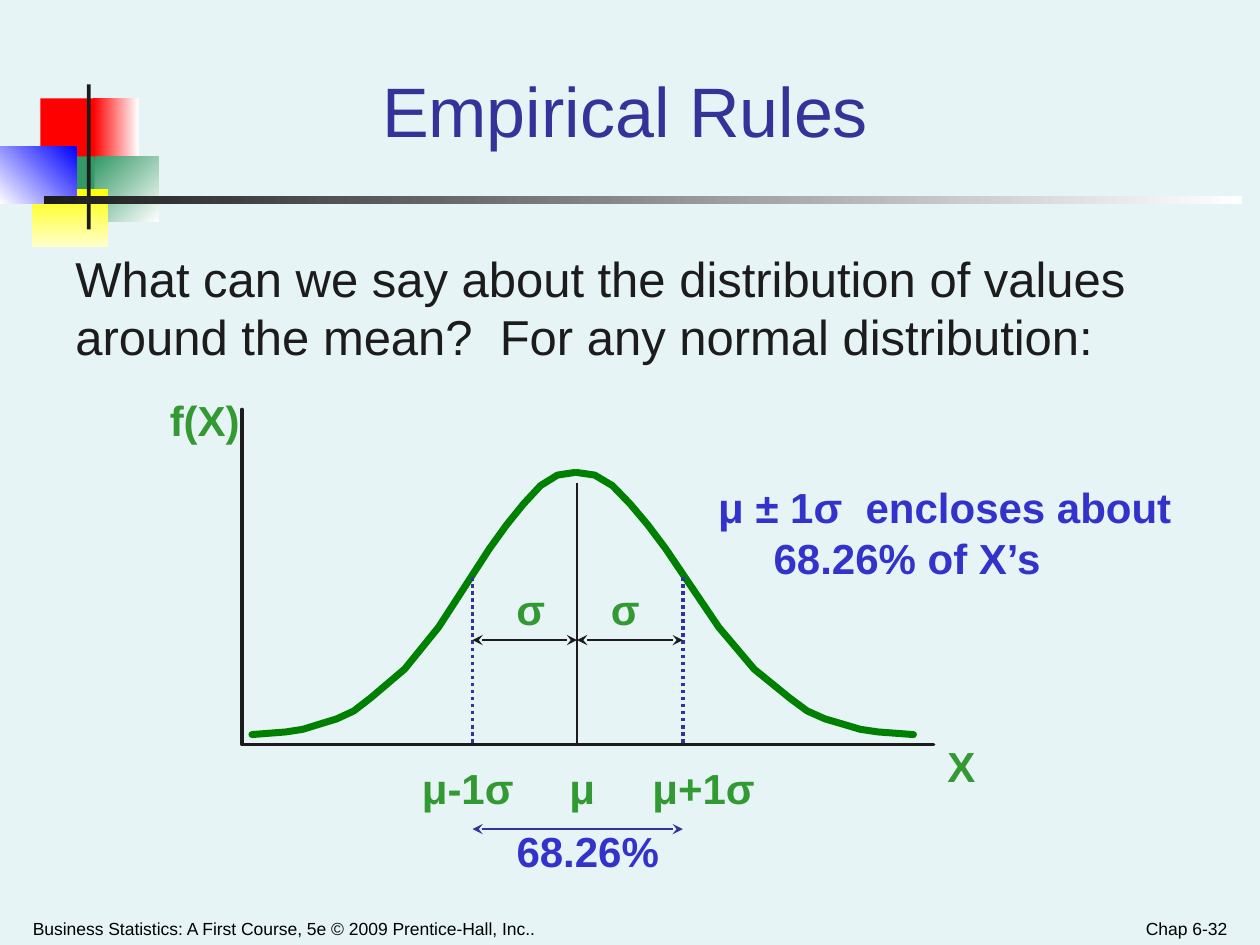
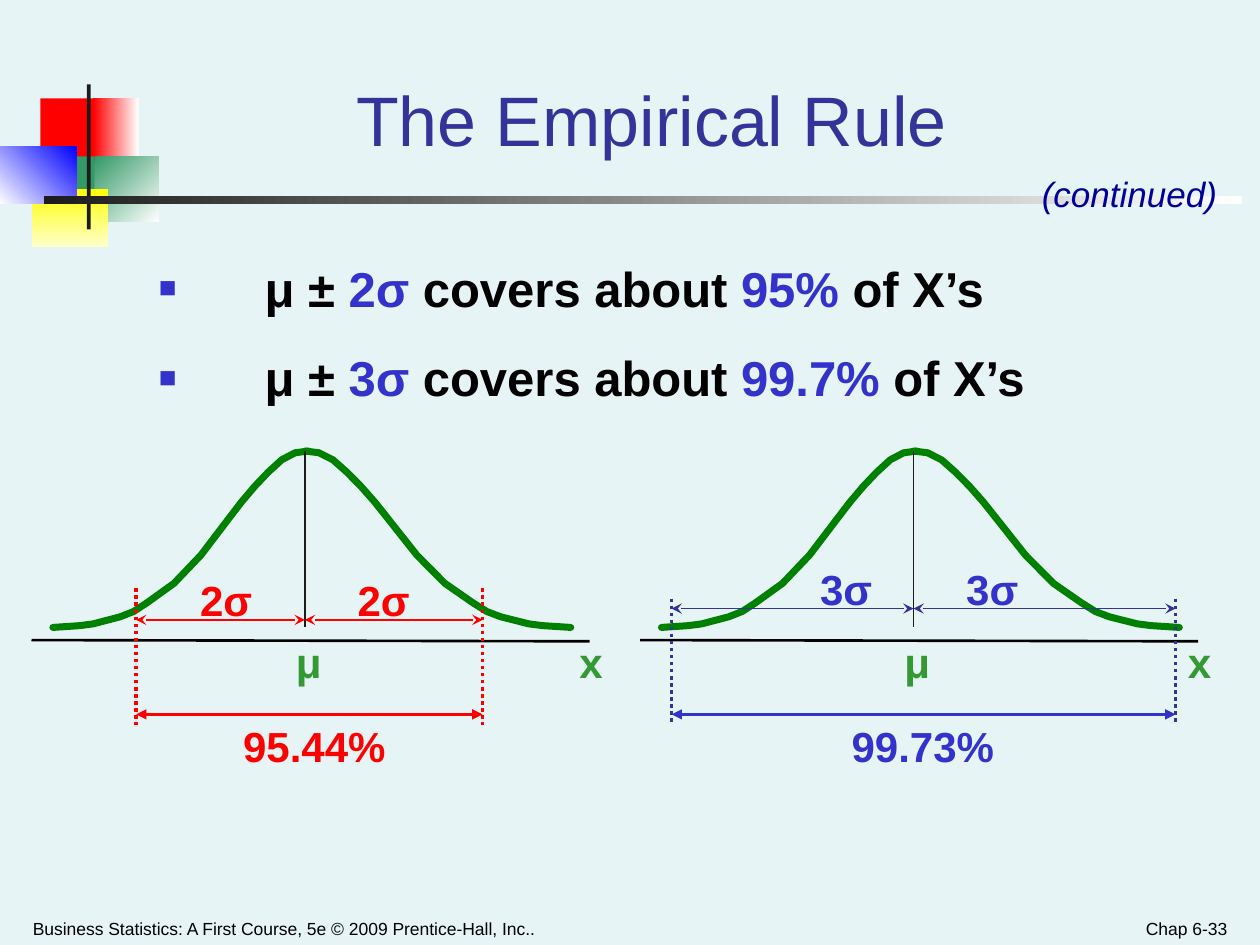
import pptx
import pptx.dml.color
import pptx.enum.dml
import pptx.enum.shapes
import pptx.enum.text
import pptx.oxml.ns
import pptx.util
from lxml import etree

Inches = pptx.util.Inches
Pt = pptx.util.Pt
RGBColor = pptx.dml.color.RGBColor
ALIGN = pptx.enum.text.PP_ALIGN
ANCHOR = pptx.enum.text.MSO_ANCHOR
qn = pptx.oxml.ns.qn

FONT = "Arial"
BACKGROUND = RGBColor(0xE7, 0xF4, 0xF5)
INK = RGBColor(0x1C, 0x1C, 0x1C)
BLACK = RGBColor(0, 0, 0)
WHITE = RGBColor(255, 255, 255)
RED = RGBColor(255, 0, 0)
YELLOW = RGBColor(255, 255, 0)
CREAM = RGBColor(0xFF, 0xFF, 0xCC)
BRIGHT_BLUE = RGBColor(0, 0, 255)
SEA_GREEN = RGBColor(0x33, 0x99, 0x66)
CURVE_GREEN = RGBColor(0, 0x80, 0)
LABEL_GREEN = RGBColor(0x33, 0x99, 0x33)
INDIGO = RGBColor(0x33, 0x33, 0x99)
BLUE = RGBColor(0x33, 0x33, 0xCC)
NAVY = RGBColor(0, 0, 0x99)

# Master ornament: left, top, width, height, first colour, last colour, clockwise angle
ORNAMENT = [
    (0.32, 0.78, 0.48, 0.52, RED, None, 0),
    (0.74, 0.78, 0.36, 0.52, RED, WHITE, 0),
    (0.75, 1.24, 0.51, 0.52, SEA_GREEN, WHITE, 45),
    (0.43, 1.24, 0.32, 0.52, SEA_GREEN, None, 0),
    (0.25, 1.50, 0.61, 0.46, YELLOW, CREAM, 90),
    (0, 1.16, 0.61, 0.46, WHITE, BRIGHT_BLUE, 315),
    (0.69, 0.67, 0.03, 1.15, INK, None, 0),
    (0.35, 1.56, 9.51, 0.06, INK, WHITE, 0),
]

# Half a bell from tail to peak: steps out of 19, and share of the peak height
BELL_STEPS = [0, 2, 3, 4, 5, 6, 7, 9, 11, 13, 14, 15, 16, 17, 18, 19]
BELL_HEIGHTS = [0, 0.01, 0.02, 0.04, 0.06, 0.09, 0.14, 0.25,
                0.41, 0.61, 0.71, 0.8, 0.88, 0.95, 0.99, 1]


# Text
def add_box(page, left, top, width, height, anchor=ANCHOR.TOP, inset=0.1):
    frame = page.shapes.add_textbox(
        Inches(left), Inches(top), Inches(width), Inches(height)).text_frame
    frame.margin_left = frame.margin_right = Inches(inset)
    frame.vertical_anchor = anchor
    frame.word_wrap = True
    return frame


def add_span(para, text, size, color, bold=False, italic=False):
    span = para.add_run()
    span.text = text
    font = span.font
    font.name, font.size, font.bold, font.italic = FONT, Pt(size), bold, italic
    font.color.rgb = color


def add_text(page, text, area, size, color, align=ALIGN.LEFT, **box_options):
    para = add_box(page, *area, **box_options).paragraphs[0]
    para.alignment = align
    add_span(para, text, size, color)
    return para


def add_label(page, text, left, top, width, color, centred=False):
    # Centred labels use the full box width, so they stay on one line
    para = add_box(page, left, top, width, 0.5, inset=0 if centred else 0.1).paragraphs[0]
    para.alignment = ALIGN.CENTER if centred else ALIGN.LEFT
    add_span(para, text, 24, color, bold=True)


def set_indent(para, margin, first_line):
    properties = para._p.get_or_add_pPr()
    properties.set("marL", str(Inches(margin)))
    properties.set("indent", str(Inches(first_line)))
    return properties


def add_bullet(para, color, percent):
    properties = set_indent(para, 0.84, -0.84)
    tint = etree.SubElement(properties, qn("a:buClr"))
    etree.SubElement(tint, qn("a:srgbClr")).set("val", str(color))
    etree.SubElement(properties, qn("a:buSzPct")).set("val", str(percent * 1000))
    etree.SubElement(properties, qn("a:buFont")).set("typeface", FONT)
    etree.SubElement(properties, qn("a:buChar")).set("char", "■")


# Lines
def add_line(page, x1, y1, x2, y2, color, weight=1, arrow=None, dotted=False):
    connector = page.shapes.add_connector(
        pptx.enum.shapes.MSO_CONNECTOR.STRAIGHT,
        Inches(x1), Inches(y1), Inches(x2), Inches(y2))
    etree.SubElement(connector._element.spPr, qn("a:effectLst"))
    line = connector.line
    line.color.rgb = color
    line.width = Pt(weight)
    if dotted:
        line.dash_style = pptx.enum.dml.MSO_LINE.ROUND_DOT
    if arrow:
        for end in ("a:headEnd", "a:tailEnd"):
            etree.SubElement(line._get_or_add_ln(), qn(end)).set("type", arrow)


def add_outline(page, points, color, weight):
    points = [(Inches(x), Inches(y)) for x, y in points]
    builder = page.shapes.build_freeform(*points[0], scale=1.0)
    builder.add_line_segments(points[1:], close=False)
    outline = builder.convert_to_shape()
    outline.shadow.inherit = False
    outline.fill.background()
    outline.line.color.rgb = color
    outline.line.width = Pt(weight)
    outline.line._get_or_add_ln().set("cap", "rnd")


def add_half_bell(page, tail, peak, top, height):
    points = [(tail + (peak - tail) * step / 19, top + height * (1 - share))
              for step, share in zip(BELL_STEPS, BELL_HEIGHTS)]
    add_outline(page, points, CURVE_GREEN, 4)


def add_sigma_arrows(page, low, mean, high, y, color):
    for start, end in ((mean, high), (low, mean)):
        add_line(page, start, y, end, y, color, arrow="stealth")


def add_limits(page, limits, top, bottom, color):
    for x in limits:
        add_line(page, x, top, x, bottom, color, weight=2, dotted=True)


# Parts shared by the slides
def add_ornament(page):
    for left, top, width, height, first, last, angle in ORNAMENT:
        block = page.shapes.add_shape(
            pptx.enum.shapes.MSO_SHAPE.RECTANGLE,
            Inches(left), Inches(top), Inches(width), Inches(height))
        block.shadow.inherit = False
        block.line.fill.background()
        if last is None:
            block.fill.solid()
            block.fill.fore_color.rgb = first
        else:
            block.fill.gradient()
            block.fill.gradient_angle = (360 - angle) % 360
            for stop, color in zip(block.fill.gradient_stops, (first, last)):
                stop.color.rgb = color


def add_page(deck, title, title_area, number):
    page = deck.slides.add_slide(deck.slide_layouts[6])
    add_ornament(page)
    footer = dict(anchor=ANCHOR.BOTTOM, inset=0.09)
    add_text(page, "Business Statistics: A First Course, 5e © 2009 Prentice-Hall, Inc..",
             (0.17, 7.15, 5.08, 0.35), 10, BLACK, **footer)
    add_text(page, f"Chap 6-{number}", (7.5, 7.15, 2.33, 0.35), 10, BLACK,
             ALIGN.RIGHT, **footer)
    heading = add_text(page, title, title_area, 40, INDIGO, ALIGN.CENTER, **footer)
    return page, heading


# Slide 1: one standard deviation
def add_one_sigma_chart(page, left, top):
    low, mean, high = left + 2.5, left + 3.33, left + 4.17
    base = top + 2.84
    add_outline(page, [(left + 0.67, top + 0.17), (left + 0.67, top + 2.83),
                       (left + 6.16, top + 2.83)], INK, 2)
    add_half_bell(page, left + 6, mean, top + 0.67, 2.08)
    add_half_bell(page, left + 0.75, mean - 0.02, top + 0.67, 2.08)
    add_line(page, mean, top + 0.75, mean, base, INK)
    add_limits(page, (low, high), top + 1.5, base, INDIGO)
    add_sigma_arrows(page, low, mean, high, top + 2, INK)
    add_line(page, low, top + 3.5, high, top + 3.5, INDIGO, arrow="stealth")

    add_label(page, "f(X)", left, top, 0.75, LABEL_GREEN, centred=True)
    for text, x, y, width in (("X", 6.17, 2.75, 0.42), ("μ", 3.17, 2.92, 0.52),
                              ("μ+1σ", 3.83, 2.92, 1.17), ("μ-1σ", 2, 2.92, 1),
                              ("σ", 3.5, 1.5, 0.33), ("σ", 2.75, 1.5, 0.33)):
        add_label(page, text, left + x, top + y, width, LABEL_GREEN)
    add_label(page, "68.26%", left + 2.75, top + 3.42, 1.33, BLUE, centred=True)


def build_one_sigma_slide(deck):
    page, _ = add_page(deck, "Empirical Rules", (1.25, 0.25, 7.42, 1), 32)
    add_text(page, "What can we say about the distribution of values around the mean?"
             "  For any normal distribution:", (0.5, 1.92, 9.25, 1.04), 28, INK)
    para = add_box(page, 5.42, 3.77, 4.58, 1.1, inset=0.09).paragraphs[0]
    set_indent(para, 0.63, -0.44)
    para.line_spacing = Pt(29)
    add_span(para, "μ ± 1σ  encloses about 68.26% of X’s", 24, BLUE, bold=True)
    add_one_sigma_chart(page, 1.25, 3.08)


# Slide 2: two and three standard deviations
def add_coverage_chart(page, left, top, sigmas, percent, reach, limit_drop,
                       arrow_drop, label_offsets, line_color, text_color):
    mean = left + 2.17
    low, high = mean - reach[0], mean + reach[1]
    arrow_y = top + arrow_drop
    add_half_bell(page, left + 4.28, mean, top, 1.4)
    add_half_bell(page, left + 0.17, mean + 0.03, top, 1.4)
    add_line(page, mean, top, mean, top + 1.4, INK)
    add_line(page, left, top + 1.5, left + 4.43, top + 1.51, BLACK, weight=1.5)
    add_limits(page, (low, high), top + limit_drop, top + 2.17, line_color)
    add_sigma_arrows(page, low, mean, high, arrow_y, line_color)
    add_line(page, low, top + 2.09, high, top + 2.09, text_color, 1.5, "triangle")

    add_label(page, "x", left + 4.25, top + 1.42, 0.38, LABEL_GREEN)
    add_label(page, "μ", left + 2, top + 1.42, 0.42, LABEL_GREEN)
    for offset in label_offsets:
        add_label(page, sigmas, left + offset, arrow_y - 0.41, 0.61, text_color, centred=True)
    add_label(page, percent, left + 1.58, top + 2.09, 1.33, text_color, centred=True)


def add_coverage_list(page, left, top, width, height):
    frame = add_box(page, left, top, width, height, inset=0.09)
    for index, (sigmas, share) in enumerate((("2σ ", "95%"), ("3σ ", "99.7%"))):
        para = frame.add_paragraph() if index else frame.paragraphs[0]
        if index:
            para.space_before = Pt(17.5)
        add_bullet(para, BLUE, 60)
        for text, color in (("μ ± ", BLACK), (sigmas, BLUE), ("covers about ", BLACK),
                            (share, BLUE), (" of X’s", BLACK)):
            add_span(para, text, 28, color, bold=True)


def build_coverage_slide(deck):
    page, heading = add_page(deck, "The Empirical Rule", (1.34, 0.25, 7.66, 1.08), 33)
    heading.line_spacing = 0.9
    add_coverage_list(page, 1.17, 2, 7.58, 1.56)
    add_coverage_chart(page, 0.25, 3.58, "2σ", "95.44%", (1.34, 1.41), 1.09,
                       1.34, (1.24, 2.49), RED, RED)
    add_coverage_chart(page, 5.08, 3.58, "3σ", "99.73%", (1.92, 2.08), 1.17,
                       1.25, (1.33, 2.49), INDIGO, BLUE)
    para = add_box(page, 8.17, 1.32, 1.67, 0.44).paragraphs[0]
    add_span(para, "(continued)", 20, NAVY, italic=True)


def main():
    deck = pptx.Presentation()
    deck.slide_width, deck.slide_height = Inches(10), Inches(7.5)
    backdrop = deck.slide_master.background.fill
    backdrop.solid()
    backdrop.fore_color.rgb = BACKGROUND
    build_one_sigma_slide(deck)
    build_coverage_slide(deck)
    deck.save("out.pptx")


if __name__ == "__main__":
    main()
